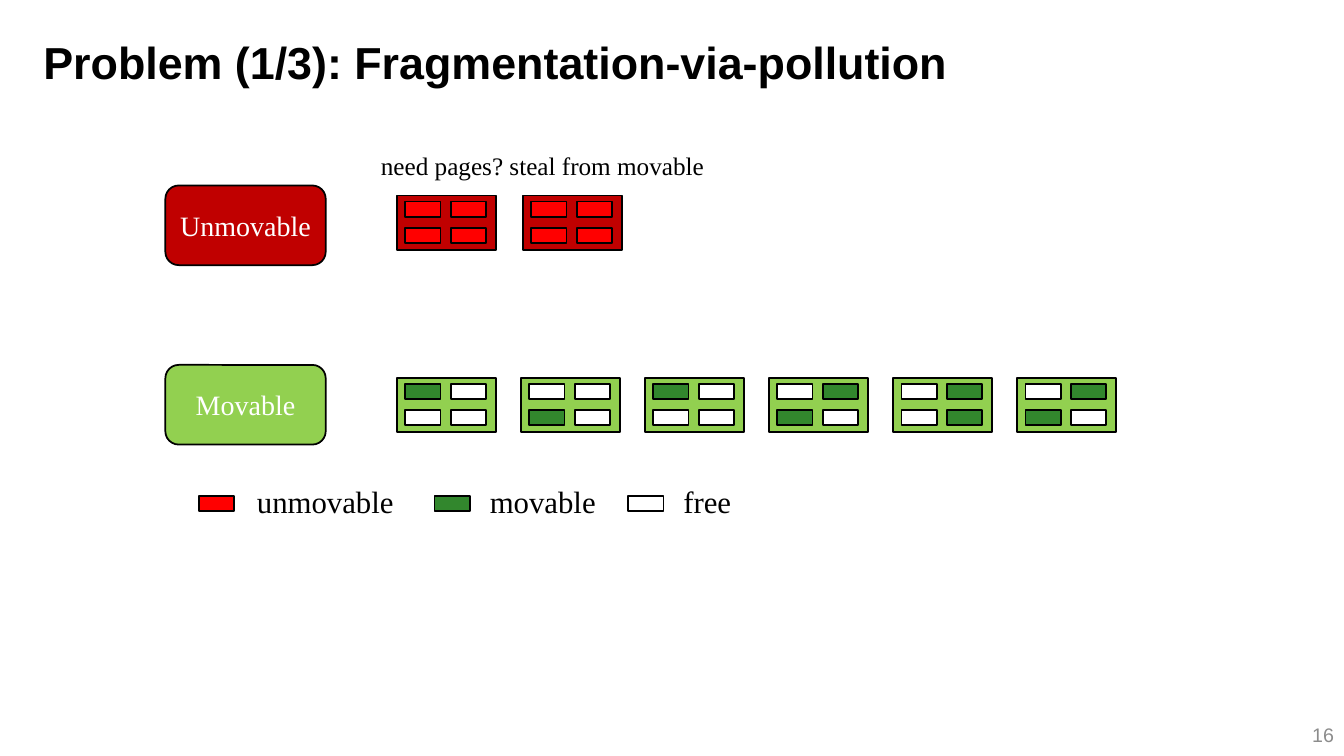
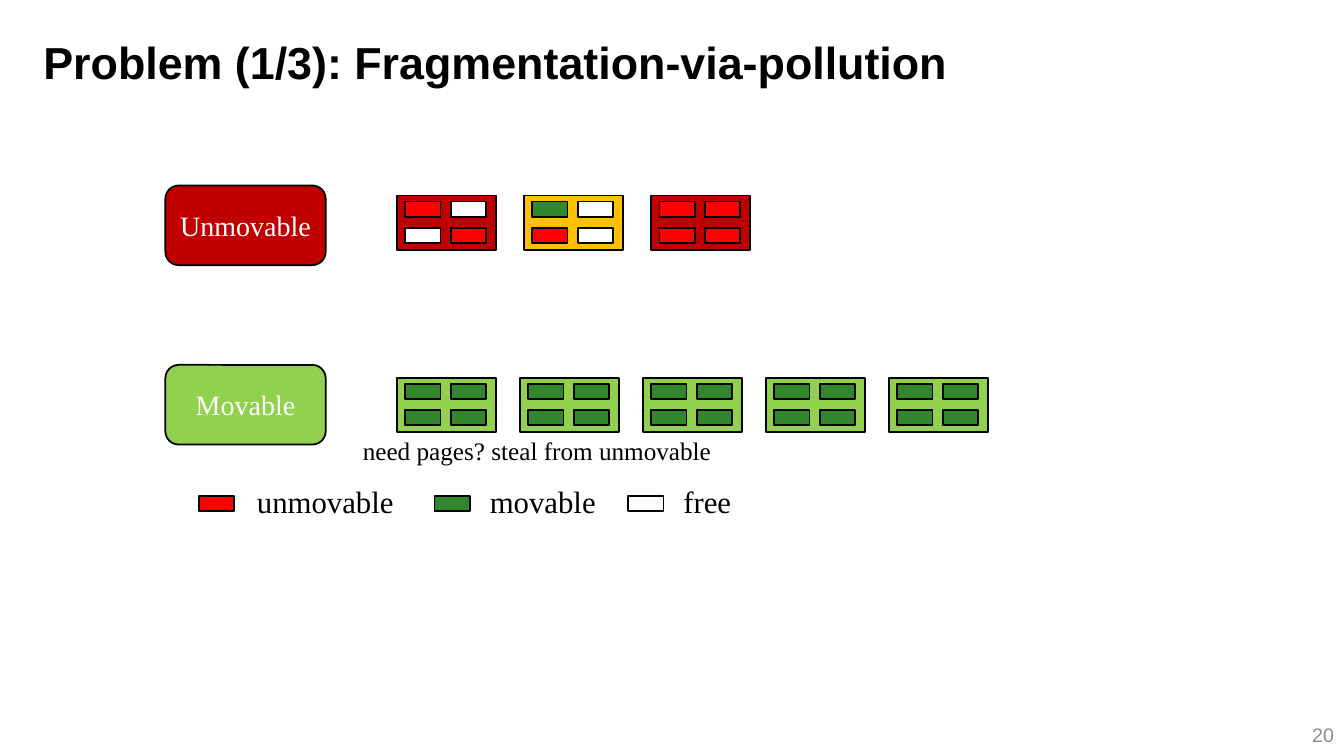
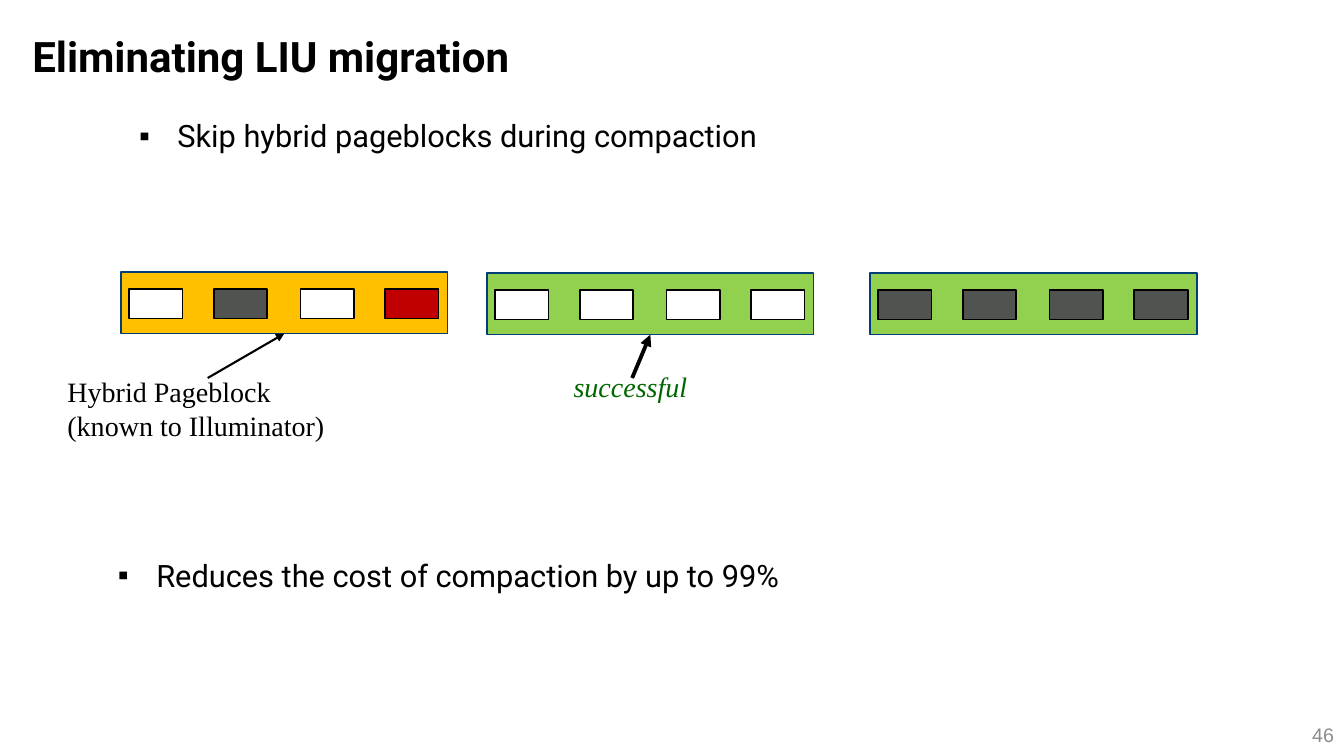
from lxml.etree import SubElement
from pptx import Presentation
from pptx.dml.color import RGBColor
from pptx.enum.shapes import MSO_CONNECTOR as CONN, MSO_SHAPE as SHAPE
from pptx.enum.text import MSO_ANCHOR as ANCHOR, MSO_AUTO_SIZE as AUTO, PP_ALIGN as ALIGN
from pptx.oxml.ns import qn
from pptx.util import Inches, Pt

BLACK = RGBColor(0x00, 0x00, 0x00)
WHITE = RGBColor(0xFF, 0xFF, 0xFF)
GREY = RGBColor(0x8C, 0x8C, 0x8C)
CHARCOAL = RGBColor(0x50, 0x53, 0x50)
NAVY = RGBColor(0x00, 0x3E, 0x77)
CRIMSON = RGBColor(0xC0, 0x00, 0x00)
RED = RGBColor(0xFF, 0x00, 0x00)
LIME = RGBColor(0x92, 0xD0, 0x50)
GREEN = RGBColor(0x32, 0x87, 0x2D)
DARK_GREEN = RGBColor(0x00, 0x66, 0x00)
AMBER = RGBColor(0xFF, 0xC0, 0x00)

SANS, SERIF, ROBOTO = "Arial", "Times New Roman", "Roboto"
PAGE_COLORS = {"u": RED, "m": GREEN, "f": WHITE, "d": CHARCOAL, "c": CRIMSON}
TITLE_ONLY, TWO_CONTENT = 5, 3
ROW_LEFT, UNMOVABLE_TOP, MOVABLE_TOP = 3.94, 1.94, 3.75
PAGE_W, PAGE_H = 0.35, 0.15


def write(tf, text, size=20, font=SERIF, color=BLACK, bold=False, italic=False,
          align=ALIGN.LEFT, anchor=ANCHOR.TOP, spacing=None, wrap=True, indent=None):
    """Fill a text frame, one paragraph per line; indent gives a bulleted hanging indent."""
    tf.auto_size = AUTO.NONE
    tf.word_wrap = wrap
    tf.vertical_anchor = anchor
    for i, line in enumerate(text.split("\n")):
        p = tf.add_paragraph() if i else tf.paragraphs[0]
        p.alignment = align
        p.space_before = Pt(0)
        if spacing:
            p.line_spacing = spacing
        if indent:
            pPr = p._p.get_or_add_pPr()
            pPr.set("marL", str(Inches(indent)))
            pPr.set("indent", str(Inches(-0.38)))
            SubElement(pPr, qn("a:buFont")).set("typeface", SANS)
            SubElement(pPr, qn("a:buChar")).set("char", "▪")
        r = p.add_run()
        r.text = line
        r.font.size = Pt(size)
        r.font.name = font
        r.font.color.rgb = color
        r.font.bold = bold
        r.font.italic = italic


class Deck:
    """Holds the presentation, its style and the current slide."""

    def __init__(self):
        """Start a widescreen presentation."""
        self.prs = Presentation()
        self.prs.slide_width = Inches(13.33)
        self.prs.slide_height = Inches(7.5)
        self.s = None

    def place(self, sp, x, y, w, h):
        """Move and size a placeholder."""
        sp.left, sp.top, sp.width, sp.height = map(Inches, (x, y, w, h))

    def slide(self, title, number, at=(0.33, 0.12, 9.92, 0.8), layout=TITLE_ONLY,
              size=32, font=SANS, spacing=0.8):
        """Add a slide with its title and page number."""
        self.s = self.prs.slides.add_slide(self.prs.slide_layouts[layout])
        self.place(self.s.shapes.title, *at)
        write(self.s.shapes.title.text_frame, title, size=size, font=font, bold=True,
              anchor=ANCHOR.BOTTOM, spacing=spacing)
        self.text(10.33, 7.09, 3, 0.4, str(number), size=14, font=SANS, color=GREY,
                  align=ALIGN.RIGHT, anchor=ANCHOR.MIDDLE)

    def bullet(self, idx, x, y, w, text, indent):
        """Write a bulleted line into a body placeholder."""
        sp = self.s.placeholders[idx]
        self.place(sp, x, y, w, 0.47)
        write(sp.text_frame, text, size=22, font=ROBOTO, indent=indent)

    def text(self, x, y, w, h, text, **fmt):
        """Add a text box."""
        sp = self.s.shapes.add_textbox(*map(Inches, (x, y, w, h)))
        write(sp.text_frame, text, **fmt)

    def box(self, x, y, w, h, fill, line=BLACK, kind=SHAPE.RECTANGLE):
        """Add an outlined, filled shape."""
        sp = self.s.shapes.add_shape(kind, *map(Inches, (x, y, w, h)))
        sp.shadow.inherit = False
        sp.fill.solid()
        sp.fill.fore_color.rgb = fill
        sp.line.color.rgb = line
        sp.line.width = Pt(1.25)
        return sp

    def label(self, y, text, fill):
        """Add a rounded label naming a row."""
        sp = self.box(1.64, y, 1.59, 0.79, fill, kind=SHAPE.ROUNDED_RECTANGLE)
        write(sp.text_frame, text, color=WHITE, align=ALIGN.CENTER, anchor=ANCHOR.MIDDLE)

    def row(self, y, pitch, blocks):
        """Add evenly spaced pageblocks of two by two pages."""
        for n, (fill, pages) in enumerate(blocks):
            x = ROW_LEFT + n * pitch
            self.box(x, y, 0.98, 0.54, fill)
            for i, page in enumerate(pages):
                self.box(x + 0.08 + i % 2 * 0.45, y + 0.06 + i // 2 * 0.26,
                         PAGE_W, PAGE_H, PAGE_COLORS[page])

    def strip(self, x, y, fill, pages):
        """Add a wide pageblock of four pages in a line."""
        block = self.box(x, y, 3.24, 0.61, fill, line=NAVY)
        for dx, page in zip((0.08, 0.92, 1.78, 2.62), pages):
            self.box(x + dx, y + 0.17, 0.53, 0.29, PAGE_COLORS[page])
        return block

    def arrow(self, x, y, block, width):
        """Add an arrow from a point to the bottom of a block."""
        c = self.s.shapes.add_connector(CONN.STRAIGHT, Inches(x), Inches(y),
                                        Inches(x), Inches(y))
        c.end_connect(block, 2)
        c.line.color.rgb = BLACK
        c.line.width = Pt(width)
        SubElement(c.line._get_or_add_ln(), qn("a:tailEnd")).set("type", "triangle")
        SubElement(c._element.spPr, qn("a:effectLst"))

    def pollution(self, number, unmovable, movable, pitches):
        """Add a slide with the two labelled pageblock rows and the legend."""
        self.slide("Problem (1/3): Fragmentation-via-pollution", number)
        self.label(1.84, "Unmovable", CRIMSON)
        self.label(3.62, "Movable", LIME)
        self.row(UNMOVABLE_TOP, pitches[0], unmovable)
        self.row(MOVABLE_TOP, pitches[1], movable)
        for key_x, text_x, name in ((1.97, 2.45, "unmovable"), (4.31, 4.76, "movable"),
                                    (6.23, 6.68, "free")):
            self.box(key_x, 4.92, PAGE_W, PAGE_H, PAGE_COLORS[name[0]])
            self.text(text_x, 4.74, 1.74, 0.47, name, size=22)


def main():
    """Build and save the three slides."""
    deck = Deck()

    deck.pollution(16, [(CRIMSON, "uuuu")] * 2,
                   [(LIME, pages) for pages in
                    ("mfff", "ffmf", "mfff", "fmmf", "fmfm", "fmmf")], (1.25, 1.23))
    deck.text(3.68, 1.44, 3.44, 0.4, "need pages? steal from movable", size=18, wrap=False)

    deck.pollution(20, [(CRIMSON, "uffu"), (AMBER, "mfuf"), (CRIMSON, "uuuu")],
                   [(LIME, "mmmm")] * 5, (1.26, 1.22))
    deck.text(3.5, 4.27, 3.69, 0.4, "need pages? steal from unmovable", size=18, wrap=False)

    deck.slide("Eliminating LIU migration", 46, at=(0.22, 0.05, 10.3, 0.8),
               layout=TWO_CONTENT, size=30, font=ROBOTO, spacing=1.0)
    deck.bullet(1, 1.28, 1.11, 10.73, "Skip hybrid pageblocks during compaction", 0.38)
    deck.bullet(2, 0.57, 5.47, 10.66, "Reduces the cost of compaction by up to 99%", 0.88)
    hybrid = deck.strip(1.2, 2.7, AMBER, "fdfc")
    free = deck.strip(4.83, 2.71, LIME, "ffff")
    deck.strip(8.63, 2.71, LIME, "dddd")
    deck.arrow(2.06, 3.75, hybrid, 1.5)
    deck.arrow(6.27, 3.75, free, 2.75)
    deck.text(0.57, 3.67, 4.59, 0.77, "Hybrid Pageblock\n(known to Illuminator)")
    deck.text(5.59, 3.62, 4.59, 0.44, "successful", color=DARK_GREEN, italic=True)

    deck.prs.save("out.pptx")


if __name__ == "__main__":
    main()
